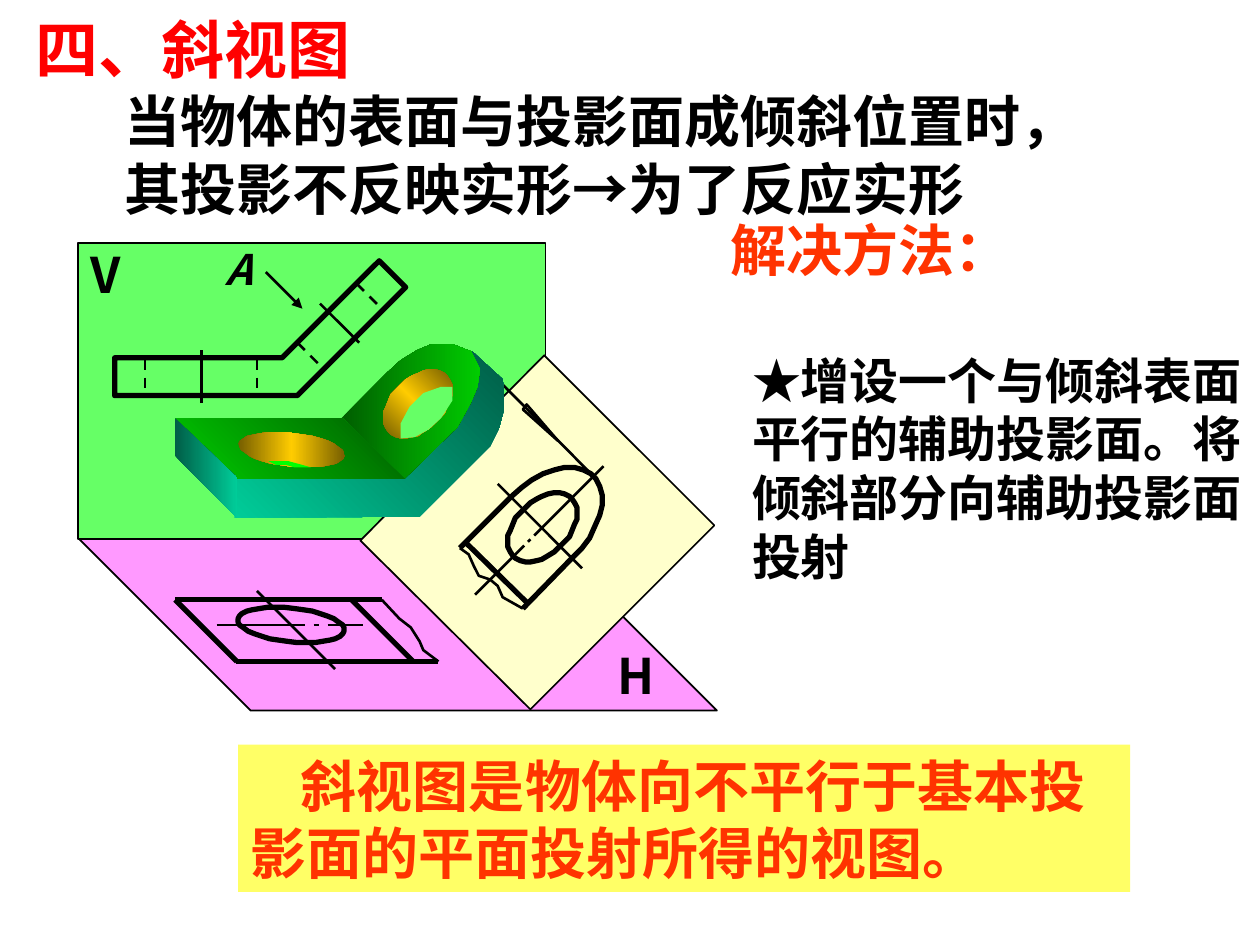
from copy import deepcopy
from math import cos, pi, sin
from typing import NamedTuple

from lxml.etree import SubElement
from pptx import Presentation
from pptx.dml.color import RGBColor
from pptx.enum.dml import MSO_LINE
from pptx.enum.shapes import MSO_CONNECTOR, MSO_SHAPE
from pptx.enum.text import MSO_ANCHOR, MSO_AUTO_SIZE, PP_ALIGN
from pptx.oxml.ns import qn
from pptx.util import Inches, Pt

WIDTH, HEIGHT = Inches(10), Inches(7.5)
COLS = 1000
CELL = WIDTH // COLS
FONT = "Noto Sans CJK SC"
THIN, MID, BOLD = 1, 1.5, 3

BLACK = RGBColor(0x00, 0x00, 0x00)
RED = RGBColor(0xFF, 0x00, 0x00)
ORANGE = RGBColor(0xFF, 0x33, 0x00)
YELLOW = RGBColor(0xFF, 0xFF, 0x66)
CREAM = RGBColor(0xFF, 0xFF, 0xCC)
PINK = RGBColor(0xFF, 0x99, 0xFF)
GREEN = RGBColor(0x66, 0xFF, 0x66)
LIME = RGBColor(0x00, 0xFF, 0x00)
LEAF = RGBColor(0x00, 0xCC, 0x00)
MOSS = RGBColor(0x00, 0x5E, 0x00)
TEAL = RGBColor(0x00, 0xCC, 0x99)
PINE = RGBColor(0x00, 0x5E, 0x47)
GOLD = RGBColor(0xFF, 0xCC, 0x00)
BROWN = RGBColor(0x76, 0x5E, 0x00)


class Blend(NamedTuple):
    hues: tuple
    angle: int = 0


class Label(NamedTuple):
    text: str
    box: tuple
    size: int
    color: RGBColor = BLACK
    align: PP_ALIGN = PP_ALIGN.LEFT
    wrap: bool = False
    italic: bool = False


class Plane(NamedTuple):
    box: tuple
    fill: RGBColor
    width: float = 0


class Outline(NamedTuple):
    points: list
    fill: object = None
    width: float = 0
    close: bool = True


class Stroke(NamedTuple):
    ends: tuple
    width: float = MID
    dash: bool = False
    arrow: bool = False


def oval(center: tuple, u: tuple, v: tuple) -> list:
    turns = [2 * pi * i / 36 for i in range(36)]
    return [tuple(c + a * cos(t) + b * sin(t) for c, a, b in zip(center, u, v))
            for t in turns]


def flat(x: float, y: float) -> list:
    return oval((x, y), (40.5, 0), (12, 14))


def tilted(x: float, y: float) -> list:
    return oval((x, y), (27.5, -11.5), (0, 25))


def scale(values: tuple) -> list:
    return [int(v * CELL) for v in values]


def paint(shape, fill, width: float) -> None:
    shape.shadow.inherit = False
    if fill is None:
        shape.fill.background()
    elif isinstance(fill, Blend):
        shape.fill.gradient()
        shape.fill.gradient_angle = fill.angle
        stops = shape._element.spPr.find(".//" + qn("a:gsLst"))
        for _ in fill.hues[2:]:
            stops.insert(1, deepcopy(stops[0]))
        for i, (stop, hue) in enumerate(zip(shape.fill.gradient_stops, fill.hues)):
            stop.color.rgb = hue
            stop.position = i / (len(fill.hues) - 1)
    else:
        shape.fill.solid()
        shape.fill.fore_color.rgb = fill
    if width:
        shape.line.color.rgb = BLACK
        shape.line.width = Pt(width)
    else:
        shape.line.fill.background()


def write(shape, label: Label, anchor=MSO_ANCHOR.TOP) -> None:
    frame = shape.text_frame
    frame.text = label.text
    look = {"word_wrap": label.wrap, "auto_size": MSO_AUTO_SIZE.NONE,
            "vertical_anchor": anchor}
    for key, value in look.items():
        setattr(frame, key, value)
    style = {"name": FONT, "size": Pt(label.size), "bold": True,
             "italic": label.italic}
    for para in frame.paragraphs:
        para.alignment = label.align
        for run in para.runs:
            run.font.color.rgb = label.color
            for key, value in style.items():
                setattr(run.font, key, value)
            SubElement(run._r.get_or_add_rPr(), qn("a:ea"), typeface=FONT)


def draw(shapes, item) -> None:
    if isinstance(item, Label):
        centred = item.align == PP_ALIGN.CENTER
        write(shapes.add_textbox(*scale(item.box)), item,
              MSO_ANCHOR.MIDDLE if centred else MSO_ANCHOR.TOP)
    elif isinstance(item, Plane):
        shape = shapes.add_shape(MSO_SHAPE.RECTANGLE, *scale(item.box))
        paint(shape, item.fill, item.width)
    elif isinstance(item, Outline):
        pen = shapes.build_freeform(*item.points[0], scale=CELL)
        pen.add_line_segments(item.points[1:], close=item.close)
        paint(pen.convert_to_shape(), item.fill, item.width)
    else:
        line = shapes.add_connector(MSO_CONNECTOR.STRAIGHT, *scale(item.ends))
        line.line.color.rgb = BLACK
        line.line.width = Pt(item.width)
        if item.dash:
            line.line.dash_style = MSO_LINE.DASH
        if item.arrow:
            SubElement(line.line._get_or_add_ln(), qn("a:tailEnd"), type="triangle")
        SubElement(line._element.spPr, qn("a:effectLst"))


MIDDLE = PP_ALIGN.CENTER
TITLE = Label("四、斜视图", (18, 3, 300, 70), 36, RED)
RULE = Label("斜视图是物体向不平行于基本投影面的平面投射所得的视图。",
             (189, 591, 708, 117), 32, ORANGE, wrap=True)
TEXTS = [
    Label("当物体的表面与投影面成倾斜位置时，\n其投影不反映实形→为了反应实形", (89, 64, 776, 117), 32),
    Label("★增设一个与倾斜表面平行的辅助投影面。将倾斜部分向辅助投影面投射",
          (587, 273, 425, 244), 28, wrap=True),
    Label("解决方法：", (570, 166, 242, 64), 32, ORANGE, MIDDLE),
]
PLANES = [
    Outline([(62, 427), (199, 564), (569, 564), (432, 427)], PINK, THIN),
    Plane((62, 193, 371, 235), GREEN, THIN),
    Label("V", (61, 189, 45, 57), 28, align=MIDDLE),
    Label("H", (480, 507, 49, 57), 28, align=MIDDLE),
]
TOP = [
    *[Stroke(e, BOLD) for e in ((139, 476, 188, 525), (139, 476, 303, 476),
                                (187, 525, 348, 525), (279, 476, 328, 525))],
    Stroke((204, 469, 266, 531)),
    Outline(flat(231, 496), None, BOLD),
    Outline([(303, 476), (317, 491), (326, 498), (333, 509), (336, 516),
             (340, 519), (348, 525)], None, MID, False),
    *[Stroke((a, 496, b, 496)) for a, b in ((172, 242), (249, 253), (260, 288))],
]
FRONT = [
    *[Stroke(e, dash=True) for e in ((283, 225, 303, 245), (236, 272, 257, 293),
                                     (204, 285, 204, 314), (115, 285, 115, 314))],
    Stroke((254, 241, 285, 272)),
    Outline([(91, 284), (224, 284), (301, 207), (322, 228), (236, 314), (91, 314)],
            None, BOLD),
    Stroke((160, 320, 160, 278)),
]
SLANT = [
    Outline([(286, 429), (432, 282), (567, 417), (421, 563)], CREAM, THIN),
    Stroke((379, 285, 471, 378)),
    Outline([(443, 350), (418, 321), (415, 325)], None, MID),
    Stroke((395, 384, 462, 451)),
    Outline([(365, 435), (406, 394), (414, 387), (422, 381), (431, 376), (440, 373),
             (448, 371), (456, 371), (463, 373), (469, 376), (473, 380), (476, 386),
             (478, 393), (478, 401), (476, 409), (472, 418), (468, 427), (462, 435),
             (454, 443), (415, 483)], None, BOLD, False),
    Stroke((370, 431, 419, 479), BOLD),
    Outline(tilted(430.5, 418.5), None, BOLD),
    Outline([(365, 435), (372, 440), (376, 449), (380, 457), (389, 460), (395, 465),
             (399, 474), (415, 483)], None, MID, False),
    *[Stroke(e) for e in ((377, 472, 416, 433), (419, 430, 421, 428),
                          (424, 425, 479, 370))],
    Stroke((211, 216, 240, 245), arrow=True),
    Label("A", (169, 188, 41, 50), 24, align=MIDDLE, italic=True),
]
SOLID = [
    Outline([(186, 378), (186, 411), (333, 410), (389, 354), (396, 340), (400, 325),
             (400, 311), (399, 301), (375, 279), (371, 291), (379, 301), (377, 311),
             (370, 322), (364, 335), (320, 379)], Blend((TEAL, PINE), 45)),
    Outline([(271, 332), (307, 296), (318, 286), (331, 278), (343, 273), (359, 273),
             (374, 279), (381, 293), (379, 307), (374, 319), (367, 332), (363, 339),
             (321, 380)], Blend((MOSS, LEAF))),
    Outline([(139, 332), (272, 332), (321, 380), (186, 380)], Blend((LEAF, MOSS), 45)),
    Outline(flat(231.5, 357), Blend((BROWN, GOLD, BROWN))),
    Outline(tilted(331.5, 320.5), Blend((BROWN, GOLD, BROWN), 45)),
    Outline([(213, 366), (229, 366), (240, 369), (247, 371), (234, 371), (227, 369),
             (219, 369)], LIME),
    Outline([(359, 307), (350, 307), (336, 312), (325, 323), (318, 336), (318, 348),
             (329, 347), (340, 341), (350, 332), (359, 318)], GREEN),
    Outline([(139, 332), (188, 379), (188, 411), (139, 362)], Blend((PINE, TEAL))),
]


def main() -> None:
    deck = Presentation()
    deck.slide_width, deck.slide_height = WIDTH, HEIGHT
    shapes = deck.slides.add_slide(deck.slide_layouts[5]).shapes
    spots = zip(("left", "top", "width", "height"), scale(TITLE.box))
    for key, value in spots:
        setattr(shapes.title, key, value)
    write(shapes.title, TITLE)
    band = shapes.add_shape(MSO_SHAPE.RECTANGLE, *scale(RULE.box))
    paint(band, YELLOW, 0)
    write(band, RULE, MSO_ANCHOR.MIDDLE)
    band.text_frame.paragraphs[0]._p.get_or_add_pPr().set("indent", str(40 * CELL))
    for part in (TEXTS, PLANES, TOP, FRONT, SLANT, SOLID):
        for item in part:
            draw(shapes, item)
    deck.save("out.pptx")


if __name__ == "__main__":
    main()
